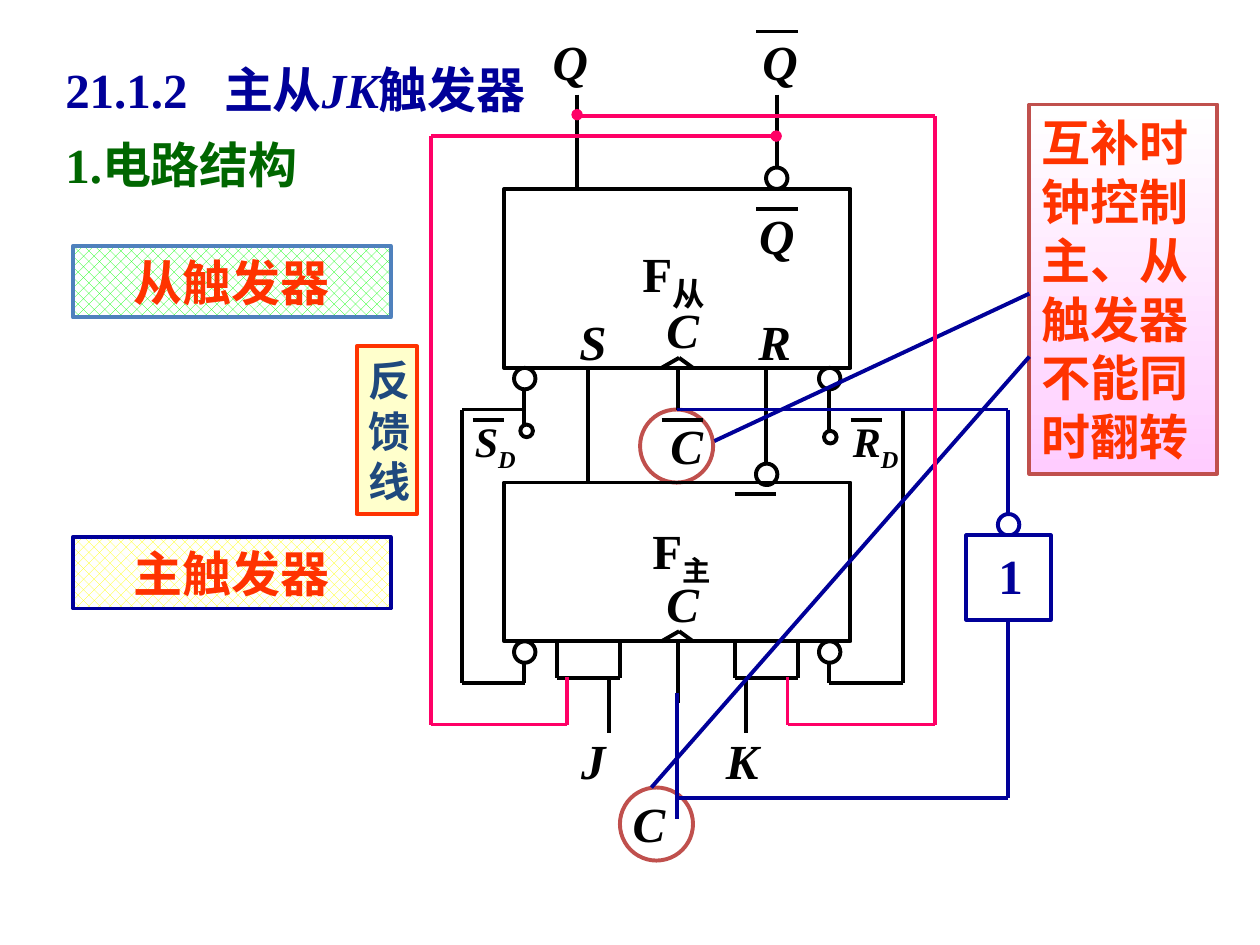
"""Build the slide on the circuit structure of the master-slave JK flip-flop."""
from lxml import etree
from pptx import Presentation
from pptx.dml.color import RGBColor
from pptx.enum.dml import MSO_PATTERN
from pptx.enum.shapes import MSO_CONNECTOR, MSO_SHAPE
from pptx.enum.text import MSO_ANCHOR, PP_ALIGN
from pptx.oxml.ns import qn
from pptx.util import Inches, Pt

BLACK = RGBColor(0x00, 0x00, 0x00)
WHITE = RGBColor(0xFF, 0xFF, 0xFF)
NAVY = RGBColor(0x00, 0x00, 0x99)
GREEN = RGBColor(0x00, 0x66, 0x00)
LIME = RGBColor(0x00, 0xFF, 0x00)
YELLOW = RGBColor(0xFF, 0xFF, 0x00)
CREAM = RGBColor(0xFF, 0xFF, 0xCC)
ORANGE = RGBColor(0xFF, 0x33, 0x00)
STEEL = RGBColor(0x1F, 0x49, 0x7D)
BLUE = RGBColor(0x4F, 0x81, 0xBD)
BRICK = RGBColor(0xC0, 0x50, 0x4D)
PINK = RGBColor(0xFF, 0x00, 0x66)
LILAC = RGBColor(0xFF, 0xCC, 0xFF)
RECTANGLE, OVAL = MSO_SHAPE.RECTANGLE, MSO_SHAPE.OVAL
STRAIGHT = MSO_CONNECTOR.STRAIGHT
HATCH = MSO_PATTERN.from_xml("pct40")
TOP, MIDDLE = MSO_ANCHOR.TOP, MSO_ANCHOR.MIDDLE
LEFT, CENTER = PP_ALIGN.LEFT, PP_ALIGN.CENTER


def add_span(para, text, *, size=28, color=BLACK, italic=False, lowered=False):
    span = para.add_run()
    span.text = text
    span.font.name = "Times New Roman"
    span.font.size = Pt(size)
    span.font.bold = True
    span.font.italic = italic
    span.font.color.rgb = color
    if lowered:
        span._r.get_or_add_rPr().set("baseline", "-25000")


class Page:
    def __init__(self, slide, weight=2.25):
        self.shapes = slide.shapes
        self.weight = Pt(weight)

    def shape(self, kind, left, top, width, height, line=BLACK, fill=None):
        shape = self.shapes.add_shape(
            kind, Inches(left), Inches(top), Inches(width), Inches(height))
        shape.shadow.inherit = False
        shape.line.color.rgb = line
        shape.line.width = self.weight
        if fill is None:
            shape.fill.background()
        else:
            shape.fill.solid()
            shape.fill.fore_color.rgb = fill
        return shape

    def circle(self, left, top, size=0.17, line=BLACK, fill=WHITE):
        return self.shape(OVAL, left, top, size, size, line, fill)

    def dot(self, left, top):
        self.circle(left, top, 0.08, PINK, PINK).line.width = Pt(0.75)

    def wire(self, *points, color=BLACK):
        for start, end in zip(points, points[1:]):
            connector = self.shapes.add_connector(
                STRAIGHT, *(Inches(value) for value in start + end))
            connector.line.color.rgb = color
            connector.line.width = self.weight
            etree.SubElement(connector._element.spPr, qn("a:effectLst"))

    def bar(self, left, top, width=0.33):
        self.wire((left, top), (left + width, top))

    def fill_text(self, box, *spans, align=CENTER, anchor=MIDDLE):
        box.text_frame.word_wrap = True
        box.text_frame.vertical_anchor = anchor
        para = box.text_frame.paragraphs[0]
        para.alignment = align
        for text, style in spans:
            add_span(para, text, **style)
        return para

    def text(self, left, top, width, *spans, height=0.57, align=LEFT, anchor=TOP):
        box = self.shapes.add_textbox(
            Inches(left), Inches(top), Inches(width), Inches(height))
        return self.fill_text(box, *spans, align=align, anchor=anchor)

    def symbol(self, letter, left, top, width, **place):
        self.text(left, top, width, (letter, {"italic": True}), **place)

    def tag(self, text, top, line, hatch):
        box = self.shape(RECTANGLE, 0.58, top, 2.52, 0.57, line)
        box.fill.patterned()
        box.fill.pattern = HATCH
        box.fill.fore_color.rgb = hatch
        box.fill.back_color.rgb = WHITE
        self.fill_text(box, (text, {"color": ORANGE}))

    def latch(self, top, height, stem):
        base = top + height
        self.shape(RECTANGLE, 4, top, 2.75, height)
        self.wire((5.25, base), (5.39, base - 0.08), (5.5, base))
        for left in (4.08, 6.5):
            self.circle(left, base)
            self.wire((left + 0.08, base + 0.17), (left + 0.08, base + stem))


def add_labels(page):
    title = page.text(
        0.42, 0.42, 4.33, ("21.1.2\t主从", {"color": NAVY}),
        ("JK", {"color": NAVY, "italic": True}), ("触发器", {"color": NAVY}))
    stops = etree.SubElement(title._p.get_or_add_pPr(), qn("a:tabLst"))
    etree.SubElement(stops, qn("a:tab"), pos=str(Inches(1.26)), algn="l")
    page.text(0.42, 1.02, 2.58, ("1.电路结构", {"color": GREEN}))
    page.tag("从触发器", 1.95, BLUE, LIME)
    page.tag("主触发器", 4.26, NAVY, YELLOW)
    feedback = page.shape(RECTANGLE, 2.83, 2.75, 0.48, 1.33, ORANGE, CREAM)
    page.fill_text(feedback, ("反馈线", {"size": 24, "color": STEEL}))


def add_clocks(page):
    page.circle(5.08, 3.25, 0.58, BRICK, None)
    page.circle(4.92, 6.25, 0.58, BRICK, None)
    page.symbol("C", 5.2, 3.25, 0.5, align=CENTER, anchor=MIDDLE)
    page.bar(5.25, 3.33)
    page.symbol("C", 4.85, 6.25, 0.6, align=CENTER, anchor=MIDDLE)


def add_master(page):
    page.wire((4.17, 3.25), (3.67, 3.25), (3.67, 5.42), (4.17, 5.42))
    page.wire((6.58, 3.25), (7.17, 3.25), (7.17, 5.42), (6.58, 5.42))
    page.wire((5.38, 5.08), (5.38, 5.58))
    for left, lead in ((4.42, 4.83), (5.83, 5.92)):
        right = left + 0.5
        page.wire((left, 5.08), (left, 5.38), (right, 5.38), (right, 5.08))
        page.wire((lead, 5.38), (lead, 5.82))
    page.wire((4.67, 2.92), (4.67, 3.83))
    page.wire((6.08, 2.92), (6.08, 3.7))
    page.circle(6, 3.68)
    page.latch(3.83, 1.26, 0.33)
    page.bar(5.83, 3.92)
    page.symbol("C", 5.19, 4.5, 0.64)
    page.text(5.08, 4.08, 0.98, ("F", {}), ("主", {"lowered": True}))
    page.symbol("J", 4.5, 5.75, 0.42, align=CENTER, anchor=MIDDLE)
    page.symbol("K", 5.63, 5.75, 0.52, align=CENTER, anchor=MIDDLE)


def add_slave(page):
    page.wire((5.38, 2.92), (5.38, 3.25))
    page.wire((4.58, 0.75), (4.58, 1.52))
    page.wire((6.17, 0.75), (6.17, 1.35))
    page.circle(6.08, 1.33)
    page.latch(1.5, 1.42, 0.5)
    page.symbol("S", 4.5, 2.42, 0.35)
    page.symbol("R", 5.92, 2.42, 0.46)
    page.symbol("C", 5.19, 2.33, 0.64)
    page.text(5, 1.83, 0.96, ("F", {}), ("从", {"size": 32, "lowered": True}))
    for left, top, width in ((5.91, 1.58, 0.51), (4.27, 0.2, 0.51), (5.88, 0.2, 0.62)):
        page.symbol("Q", left, top, width, align=CENTER, anchor=MIDDLE)
    page.bar(6, 1.66)
    page.bar(6, 0.25)
    small = {"size": 24, "italic": True}
    for letter, left, ring, ring_top in (("S", 3.67, 4.13, 3.37), ("R", 6.67, 6.54, 3.42)):
        page.circle(ring, ring_top, 0.1)
        page.text(left, 3.25, 0.75, (letter, small), ("D", {**small, "lowered": True}),
                  height=0.5)
        page.bar(left + 0.08, 3.33, 0.25)


def add_inverter(page):
    page.wire((5.37, 3.25), (8, 3.25), (8, 4.08), color=NAVY)
    page.circle(7.92, 4.08, line=NAVY)
    page.shape(RECTANGLE, 7.67, 4.25, 0.67, 0.67, NAVY, WHITE)
    page.wire((5.37, 6.33), (8, 6.33), (8, 4.92), color=NAVY)
    page.text(7.82, 4.28, 0.4, ("1", {"color": NAVY}), align=CENTER, anchor=MIDDLE)
    page.wire((5.37, 5.5), (5.37, 6.5), color=NAVY)


def add_callout(page):
    box = page.shape(RECTANGLE, 8.17, 0.83, 1.49, 2.93, BRICK)
    box.fill.gradient()
    box.fill.gradient_angle = 270
    for stop, color in zip(box.fill.gradient_stops, (WHITE, LILAC)):
        stop.color.rgb = color
    page.fill_text(box, ("互补时钟控制主、从触发器不能同时翻转", {"color": ORANGE}), align=LEFT)
    page.wire((5.17, 6.25), (8.17, 2.83), color=NAVY)
    page.wire((5.67, 3.5), (8.17, 2.33), color=NAVY)


def add_feedback(page):
    page.wire((6.17, 1.08), (3.42, 1.08), (3.42, 5.75), (4.5, 5.75), (4.5, 5.37), color=PINK)
    page.wire((4.58, 0.92), (7.42, 0.92), (7.42, 5.75), (6.25, 5.75), (6.25, 5.37), color=PINK)
    page.dot(4.54, 0.87)
    page.dot(6.12, 1.04)


def main():
    deck = Presentation()
    deck.slide_width, deck.slide_height = Inches(10), Inches(7.5)
    page = Page(deck.slides.add_slide(deck.slide_layouts[6]))
    for add_part in (add_labels, add_clocks, add_master, add_slave,
                     add_inverter, add_callout, add_feedback):
        add_part(page)
    deck.save("out.pptx")


if __name__ == "__main__":
    main()
